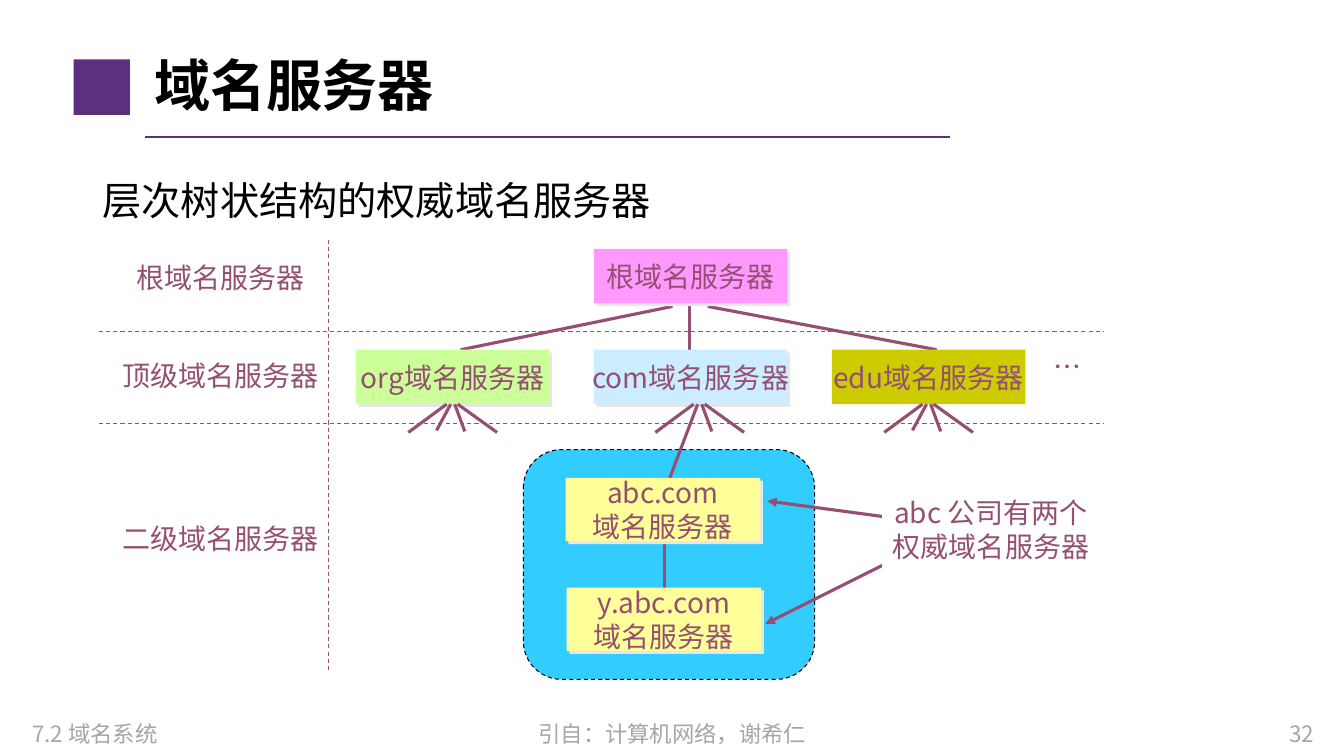
from pptx import Presentation
from pptx.dml.color import RGBColor
from pptx.enum.dml import MSO_LINE as Dash
from pptx.enum.shapes import MSO_CONNECTOR as Connector, MSO_SHAPE as Preset
from pptx.enum.text import MSO_ANCHOR as Anchor, PP_ALIGN as Align
from pptx.oxml.ns import qn
from pptx.util import Inches, Pt
from lxml.etree import SubElement


class Theme:
    font = "Noto Sans CJK SC"
    title, body, label, footer = 40, 28, 20, 16
    black, white, grey = "000000", "FFFFFF", "A6A6A6"
    brand, ink, shadow = "5C307E", "954F72", "E7E6E6"
    root, org, com, edu = "FF99FF", "CCFF99", "CCECFF", "CCCC00"
    zone, server = "33CCFF", "FFFF99"
    thin, rule, thick = 0.75, 1.5, 2.25


class SlideBuilder:
    def __init__(self, page, theme):
        self.page, self.theme = page, theme

    def fill_text(self, shape, text, size, color, bold=False, wrap=True,
                  anchor=Anchor.TOP, **paragraph_format):
        frame = shape.text_frame
        frame.word_wrap, frame.vertical_anchor = wrap, anchor
        for index, line in enumerate(text.split("\n")):
            para = frame.paragraphs[0] if index == 0 else frame.add_paragraph()
            for name, value in paragraph_format.items():
                setattr(para, name, value)
            span = para.add_run()
            span.text = line
            font_format = {"size": Pt(size), "bold": bold, "name": self.theme.font}
            for name, value in font_format.items():
                setattr(span.font, name, value)
            span.font.color.rgb = RGBColor.from_string(color)
            SubElement(span.font._element, qn("a:ea"), typeface=self.theme.font)

    def text(self, place, text, size, color, **options):
        box = self.page.shapes.add_textbox(*map(Inches, place))
        self.fill_text(box, text, size, color, **options)

    def label(self, place, text):
        self.text(place, text, self.theme.label, self.theme.ink,
                  wrap=False, alignment=Align.CENTER)

    def shape(self, place, fill, preset=Preset.RECTANGLE):
        shape = self.page.shapes.add_shape(preset, *map(Inches, place))
        shape.shadow.inherit = False
        shape.fill.solid()
        shape.fill.fore_color.rgb = RGBColor.from_string(fill)
        shape.line.fill.background()
        return shape

    def server(self, place, text, fill, shadow=True):
        shape = self.shape(place, fill)
        self.fill_text(shape, text, self.theme.label, self.theme.ink, wrap=False,
                       anchor=Anchor.MIDDLE, alignment=Align.CENTER)
        if shadow:
            effects = shape._element.spPr.find(qn("a:effectLst"))
            outer = SubElement(effects, qn("a:outerShdw"), dist=str(Pt(2.8)),
                               dir="2700000", algn="ctr", rotWithShape="0")
            SubElement(outer, qn("a:srgbClr"), val=self.theme.shadow)

    def stroke(self, line, color, width, dash=None):
        line.color.rgb = RGBColor.from_string(color)
        line.width = Pt(width)
        if dash:
            line.dash_style = dash

    def line(self, start, end, color=None, width=None, dash=None, arrow=False):
        link = self.page.shapes.add_connector(
            Connector.STRAIGHT, *map(Inches, (*start, *end)))
        self.stroke(link.line, color or self.theme.ink, width or self.theme.thick, dash)
        properties = link._element.spPr
        if arrow:
            SubElement(properties.find(qn("a:ln")), qn("a:tailEnd"), type="triangle")
        SubElement(properties, qn("a:effectLst"))


def main():
    deck = Presentation()
    deck.slide_width, deck.slide_height = Inches(13.33), Inches(7.5)
    theme = Theme()
    slide = SlideBuilder(deck.slides.add_slide(deck.slide_layouts[6]), theme)

    # Heading
    slide.shape((0.73, 0.59, 0.56, 0.55), theme.brand)
    slide.line((1.44, 1.36), (9.42, 1.36), theme.brand, theme.rule)
    slide.text((1.43, 0.4, 9.38, 0.96), "域名服务器", theme.title, theme.black,
               bold=True, anchor=Anchor.MIDDLE, line_spacing=0.9)
    slide.text((0.92, 1.56, 9.21, 0.78), "层次树状结构的权威域名服务器",
               theme.body, theme.black, line_spacing=1.3)

    # Company zone
    zone = slide.shape((5.19, 4.46, 2.89, 2.28), theme.zone, Preset.ROUNDED_RECTANGLE)
    slide.stroke(zone.line, theme.black, theme.thin, Dash.DASH)

    # Level dividers and labels
    for y in (3.29, 4.2):
        slide.line((0.98, y), (10.95, y), width=theme.thin, dash=Dash.DASH)
    slide.line((3.26, 2.38), (3.26, 6.65), width=theme.thin, dash=Dash.DASH)
    slide.label((1.24, 2.54, 1.89, 0.44), "根域名服务器")
    slide.label((1.11, 3.51, 2.16, 0.44), "顶级域名服务器")
    slide.label((1.11, 5.12, 2.16, 0.44), "二级域名服务器")

    # Root and its branches
    for root_x, top_x in ((6.67, 4.57), (6.84, 6.84), (7.02, 9.29)):
        slide.line((root_x, 3.04), (top_x, 3.47))
    slide.server((5.89, 2.47, 1.92, 0.54), "根域名服务器", theme.root)

    # Top-level servers, each with a fan of four branches
    top_servers = (
        ("org", theme.org, 4.43, True),
        ("com", theme.com, 6.88, True),
        ("edu", theme.edu, 9.15, False),
    )
    for index, (name, fill, fan_x, shadow) in enumerate(top_servers):
        slide.server((3.53 + 2.36 * index, 3.47, 1.92, 0.54),
                     f"{name}域名服务器", fill, shadow)
        inner_end = (-0.24, 4.75) if name == "com" else (-0.1, 4.27)
        ends = ((-0.38, 4.29), inner_end, (0.18, 4.28), (0.5, 4.29))
        for start_dx, (end_dx, end_y) in zip((0, 0.04, 0.08, 0.11), ends):
            slide.line((fan_x + start_dx, 4.01), (fan_x + end_dx, end_y))
    slide.label((10.35, 3.42, 0.4, 0.44), "…")

    # Second-level servers
    slide.line((6.59, 5.29), (6.59, 5.83))
    slide.server((5.61, 4.74, 1.93, 0.63), "abc.com\n域名服务器", theme.server)
    slide.server((5.62, 5.83, 1.93, 0.63), "y.abc.com\n域名服务器", theme.server)

    # Note with arrows
    slide.line((9.02, 5.16), (7.61, 4.97), arrow=True)
    slide.line((9.03, 5.47), (7.59, 6.19), arrow=True)
    note = slide.shape((8.75, 4.87, 2.16, 0.77), theme.white)
    slide.fill_text(note, "abc 公司有两个\n权威域名服务器", theme.label, theme.ink,
                    alignment=Align.CENTER)

    # Footer
    for left, width, text, alignment in (
        (0.22, 3, "7.2 域名系统", Align.LEFT),
        (4.42, 4.5, "引自：计算机网络，谢希仁", Align.CENTER),
        (9.5, 3.63, "32", Align.RIGHT),
    ):
        slide.text((left, 7.1, width, 0.4), text, theme.footer, theme.grey,
                   alignment=alignment)

    deck.save("out.pptx")


if __name__ == "__main__":
    main()
